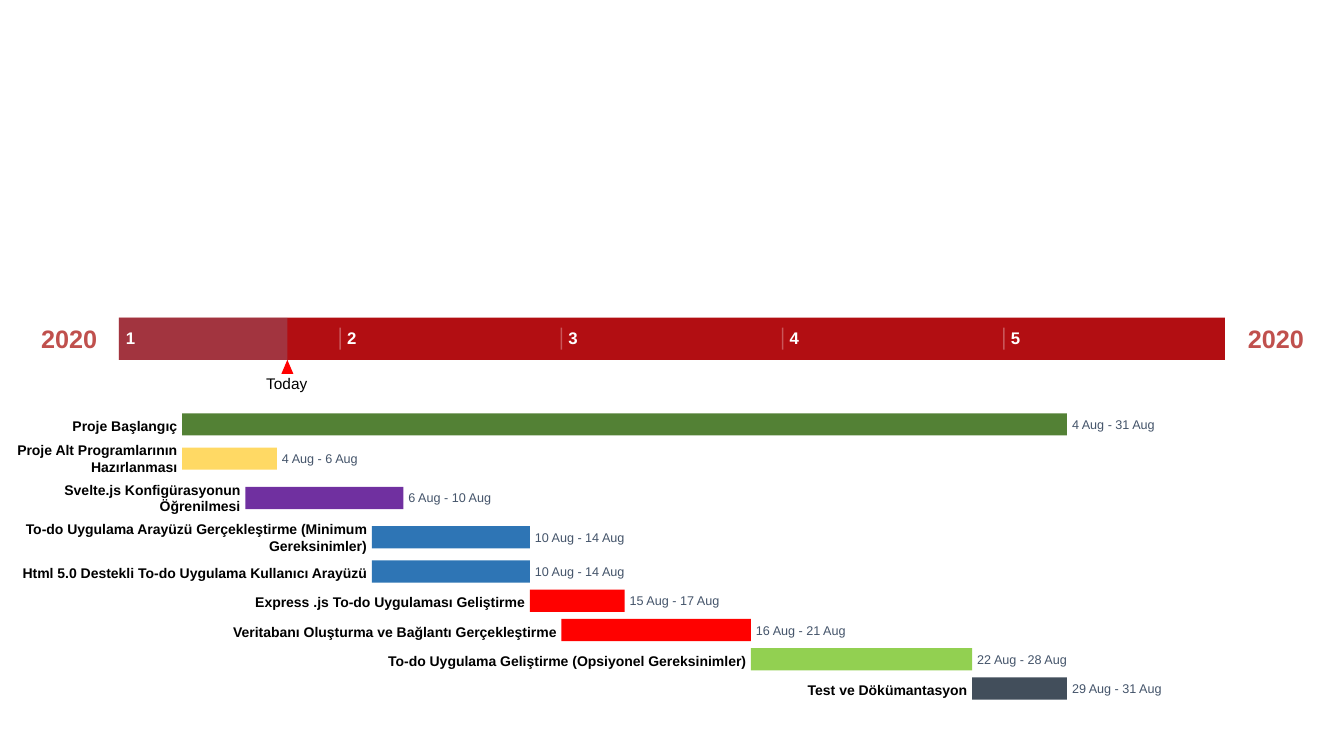
from dataclasses import dataclass

from lxml import etree
from pptx import Presentation
from pptx.dml.color import RGBColor
from pptx.enum.shapes import MSO_CONNECTOR, MSO_SHAPE
from pptx.enum.text import MSO_ANCHOR, MSO_AUTO_SIZE, PP_ALIGN
from pptx.oxml.ns import qn
from pptx.shapes.autoshape import Shape
from pptx.slide import Slide
from pptx.util import Inches, Pt

RECTANGLE = MSO_SHAPE.RECTANGLE
TRIANGLE = MSO_SHAPE.ISOSCELES_TRIANGLE
STRAIGHT = MSO_CONNECTOR.STRAIGHT
LEFT, CENTER, RIGHT = PP_ALIGN.LEFT, PP_ALIGN.CENTER, PP_ALIGN.RIGHT
MIDDLE = MSO_ANCHOR.MIDDLE
FIT_SHAPE = MSO_AUTO_SIZE.SHAPE_TO_FIT_TEXT


@dataclass(frozen=True)
class Theme:
    font: str = "Arial"
    year: str = "C0504D"
    band: str = "B20E12"
    elapsed: str = "808DA9"
    marker: str = "FF0000"
    white: str = "FFFFFF"
    black: str = "000000"
    dates: str = "44546A"
    opacity: int = 30
    year_size: int = 18
    week_size: int = 12
    today_size: int = 11
    task_size: int = 10
    date_size: int = 9


@dataclass(frozen=True)
class Task:
    name: str
    first_day: int
    last_day: int
    top: float
    label_width: float
    color: str
    two_lines: bool = False


THEME = Theme()
BAND_LEFT, BAND_TOP, BAND_WIDTH, BAND_HEIGHT = 1.18, 3.15, 10.97, 0.42
WEEKS, DAYS_PER_WEEK, BAND_FIRST_DAY = 5, 7, 2
WEEK_WIDTH = BAND_WIDTH / WEEKS
DAY_WIDTH = WEEK_WIDTH / DAYS_PER_WEEK
ELAPSED_WIDTH = 1.67
BAR_HEIGHT = 0.22
LABEL_GAP = 0.05

TASKS = [
    Task("Proje Başlangıç", 4, 31, 4.1, 1.07, "538135"),
    Task("Proje Alt Programlarının Hazırlanması", 4, 6, 4.44, 1.74, "FFD964", True),
    Task("Svelte.js Konfigürasyonun Öğrenilmesi", 6, 10, 4.83, 1.86, "7030A0", True),
    Task("To-do Uygulama Arayüzü Gerçekleştirme (Minimum Gereksinimler)",
         10, 14, 5.22, 3.47, "2E75B5", True),
    Task("Html 5.0 Destekli To-do Uygulama Kullanıcı Arayüzü",
         10, 14, 5.56, 3.47, "2E75B5"),
    Task("Express .js To-do Uygulaması Geliştirme", 15, 17, 5.85, 2.81, "FF0100"),
    Task("Veritabanı Oluşturma ve Bağlantı Gerçekleştirme",
         16, 21, 6.14, 3.33, "FF0100"),
    Task("To-do Uygulama Geliştirme (Opsiyonel Gereksinimler)",
         22, 28, 6.43, 3.6, "92D051"),
    Task("Test ve Dökümantasyon", 29, 31, 6.72, 1.6, "424E5B"),
]


def add_text(slide: Slide, text: str, left: float, top: float, width: float,
             height: float, *, size: int, color: str, bold: bool = False,
             align: PP_ALIGN = LEFT, wrap: bool = False) -> None:
    box = slide.shapes.add_textbox(
        Inches(left), Inches(top), Inches(width), Inches(height))
    frame = box.text_frame
    frame.margin_left = frame.margin_right = Inches(0)
    frame.margin_top = frame.margin_bottom = Inches(0)
    frame.vertical_anchor = MIDDLE
    frame.word_wrap = wrap
    frame.auto_size = FIT_SHAPE
    paragraph = frame.paragraphs[0]
    paragraph.alignment = align
    run = paragraph.add_run()
    run.text = text
    run.font.name = THEME.font
    run.font.size = Pt(size)
    run.font.bold = bold
    run.font.color.rgb = RGBColor.from_string(color)


def add_filled(slide: Slide, kind: MSO_SHAPE, left: float, top: float,
               width: float, height: float, color: str) -> Shape:
    shape = slide.shapes.add_shape(
        kind, Inches(left), Inches(top), Inches(width), Inches(height))
    shape.shadow.inherit = False
    shape.fill.solid()
    shape.fill.fore_color.rgb = RGBColor.from_string(color)
    shape.line.fill.background()
    return shape


def make_transparent(properties: etree._Element) -> None:
    color = next(properties.iter(qn("a:srgbClr")))
    etree.SubElement(color, qn("a:alpha"), val=str(THEME.opacity * 1000))


def add_week_divider(slide: Slide, left: float) -> None:
    divider = slide.shapes.add_connector(
        STRAIGHT, Inches(left), Inches(BAND_TOP + 0.1),
        Inches(left), Inches(BAND_TOP + 0.32))
    divider.line.width = Pt(1)
    divider.line.color.rgb = RGBColor.from_string(THEME.white)
    properties = divider._element.spPr
    make_transparent(properties)
    etree.SubElement(properties, qn("a:effectLst"))


def add_band(slide: Slide) -> None:
    for left in (0.35, 12.32):
        add_text(slide, "2020", left, 3.21, 0.67, 0.29, size=THEME.year_size,
                 color=THEME.year, bold=True, align=CENTER)
    add_filled(slide, RECTANGLE, BAND_LEFT, BAND_TOP, BAND_WIDTH, BAND_HEIGHT,
               THEME.band)
    elapsed = add_filled(slide, RECTANGLE, BAND_LEFT, BAND_TOP, ELAPSED_WIDTH,
                         BAND_HEIGHT, THEME.elapsed)
    make_transparent(elapsed._element.spPr)
    for week in range(WEEKS):
        left = BAND_LEFT + week * WEEK_WIDTH
        if week:
            add_week_divider(slide, left)
        add_text(slide, str(week + 1), left + 0.07, BAND_TOP + 0.11, 0.14, 0.19,
                 size=THEME.week_size, color=THEME.white, bold=True)


def add_today(slide: Slide) -> None:
    center = BAND_LEFT + ELAPSED_WIDTH
    bottom = BAND_TOP + BAND_HEIGHT
    add_filled(slide, TRIANGLE, center - 0.06, bottom, 0.12, 0.14, THEME.marker)
    add_text(slide, "Today", center - 0.27, bottom + 0.14, 0.53, 0.18,
             size=THEME.today_size, color=THEME.black, align=CENTER)


def add_task(slide: Slide, task: Task) -> None:
    left = BAND_LEFT + (task.first_day - BAND_FIRST_DAY) * DAY_WIDTH
    width = (task.last_day - task.first_day + 1) * DAY_WIDTH
    add_filled(slide, RECTANGLE, left, task.top, width, BAR_HEIGHT, task.color)
    label_offset, label_height = (-0.05, 0.32) if task.two_lines else (0.04, 0.17)
    add_text(slide, task.name, left - LABEL_GAP - task.label_width,
             task.top + label_offset, task.label_width, label_height,
             size=THEME.task_size, color=THEME.black, bold=True, align=RIGHT,
             wrap=task.two_lines)
    add_text(slide, f"{task.first_day} Aug - {task.last_day} Aug",
             left + width + LABEL_GAP, task.top + 0.04, 0.93, 0.14,
             size=THEME.date_size, color=THEME.dates, wrap=True)


def main() -> None:
    presentation = Presentation()
    presentation.slide_width = Inches(13.33)
    presentation.slide_height = Inches(7.5)
    slide = presentation.slides.add_slide(presentation.slide_layouts[6])
    add_band(slide)
    add_today(slide)
    for task in TASKS:
        add_task(slide, task)
    presentation.save("out.pptx")


if __name__ == "__main__":
    main()
